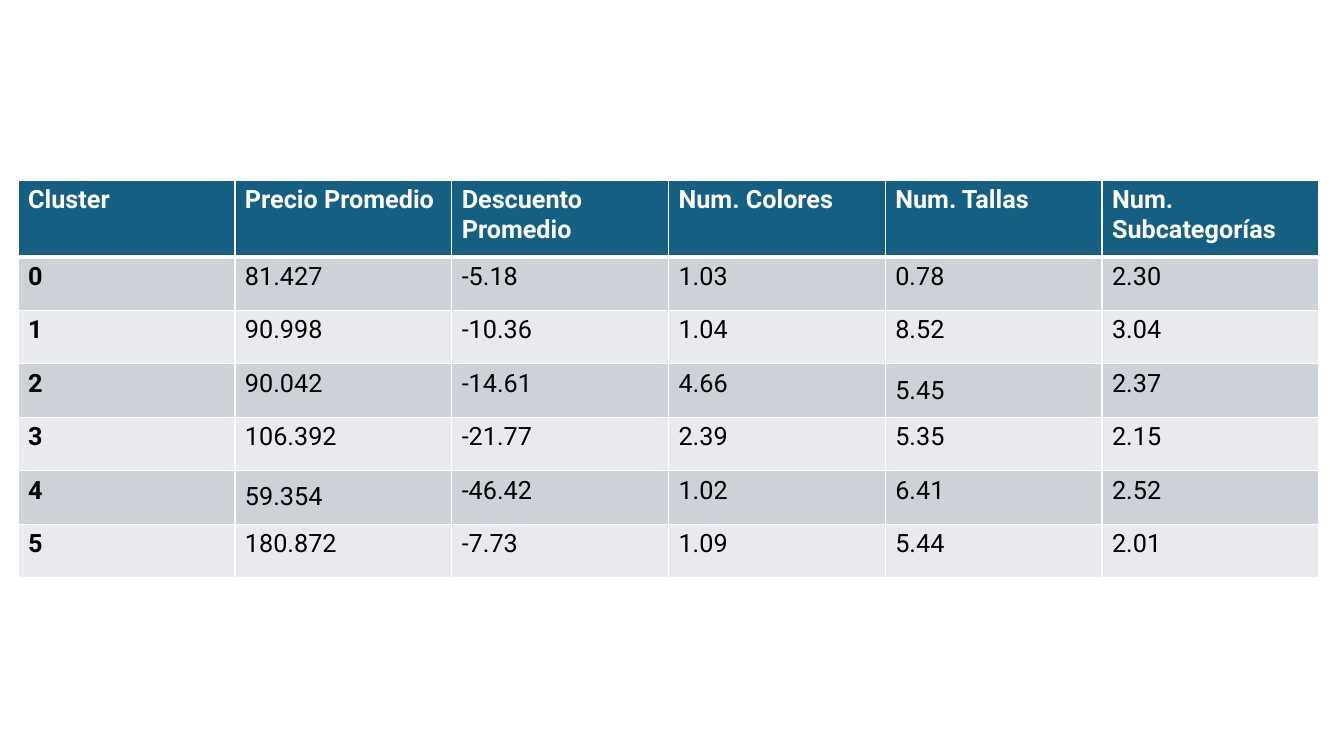
from lxml import etree
from pptx import Presentation
from pptx.dml.color import RGBColor
from pptx.enum.text import MSO_ANCHOR
from pptx.oxml.ns import qn
from pptx.util import Inches, Pt

MIDDLE = MSO_ANCHOR.MIDDLE
TOP = MSO_ANCHOR.TOP

WHITE = RGBColor(0xFF, 0xFF, 0xFF)
BLACK = RGBColor(0x00, 0x00, 0x00)
HEADER_BLUE = RGBColor(0x15, 0x60, 0x82)
BAND_DARK = RGBColor(0xCC, 0xD2, 0xD8)
BAND_LIGHT = RGBColor(0xE8, 0xEA, 0xED)

FONT = "Roboto"
COLUMN_WIDTH = Inches(2.15)
HEADER_HEIGHT = Inches(0.76)
ROW_HEIGHT = Inches(0.53)

CLUSTER_ROWS = [
    ["Cluster", "Precio Promedio", "Descuento Promedio",
     "Num. Colores", "Num. Tallas", "Num. Subcategorías"],
    ["0", "81.427", "-5.18", "1.03", "0.78", "2.30"],
    ["1", "90.998", "-10.36", "1.04", "8.52", "3.04"],
    ["2", "90.042", "-14.61", "4.66", "5.45", "2.37"],
    ["3", "106.392", "-21.77", "2.39", "5.35", "2.15"],
    ["4", "59.354", "-46.42", "1.02", "6.41", "2.52"],
    ["5", "180.872", "-7.73", "1.09", "5.44", "2.01"],
]
MIDDLE_CELLS = {(3, 4), (5, 1)}


def set_border(cell, side, width):
    properties = cell._tc.get_or_add_tcPr()
    line = etree.SubElement(properties, qn(f"a:{side}"), w=str(Pt(width)))
    fill = etree.SubElement(line, qn("a:solidFill"))
    etree.SubElement(fill, qn("a:srgbClr"), val=str(WHITE))


def fill_cell(cell, text, row, column):
    header = row == 0
    widths = {"lnL": 1, "lnR": 1, "lnT": 3 if row == 1 else 1, "lnB": 3 if header else 1}
    for side, width in widths.items():
        set_border(cell, side, width)
    cell.fill.solid()
    band = BAND_DARK if row % 2 else BAND_LIGHT
    cell.fill.fore_color.rgb = HEADER_BLUE if header else band
    cell.vertical_anchor = MIDDLE if (row, column) in MIDDLE_CELLS else TOP
    span = cell.text_frame.paragraphs[0].add_run()
    span.text = text
    span.font.name = FONT
    span.font.size = Pt(18)
    span.font.bold = header or column == 0
    span.font.color.rgb = WHITE if header else BLACK


def add_cluster_table(page, left, top):
    row_count, column_count = len(CLUSTER_ROWS), len(CLUSTER_ROWS[0])
    width = COLUMN_WIDTH * column_count
    height = HEADER_HEIGHT + ROW_HEIGHT * (row_count - 1)
    table = page.shapes.add_table(row_count, column_count, left, top, width, height).table
    for column in table.columns:
        column.width = COLUMN_WIDTH
    for row, texts in enumerate(CLUSTER_ROWS):
        table.rows[row].height = ROW_HEIGHT if row else HEADER_HEIGHT
        for column, text in enumerate(texts):
            fill_cell(table.cell(row, column), text, row, column)


def main():
    deck = Presentation()
    deck.slide_width = Inches(13.33)
    deck.slide_height = Inches(7.5)
    page = deck.slides.add_slide(deck.slide_layouts[6])
    add_cluster_table(page, Inches(0.18), Inches(1.79))
    deck.save("out.pptx")


if __name__ == "__main__":
    main()
